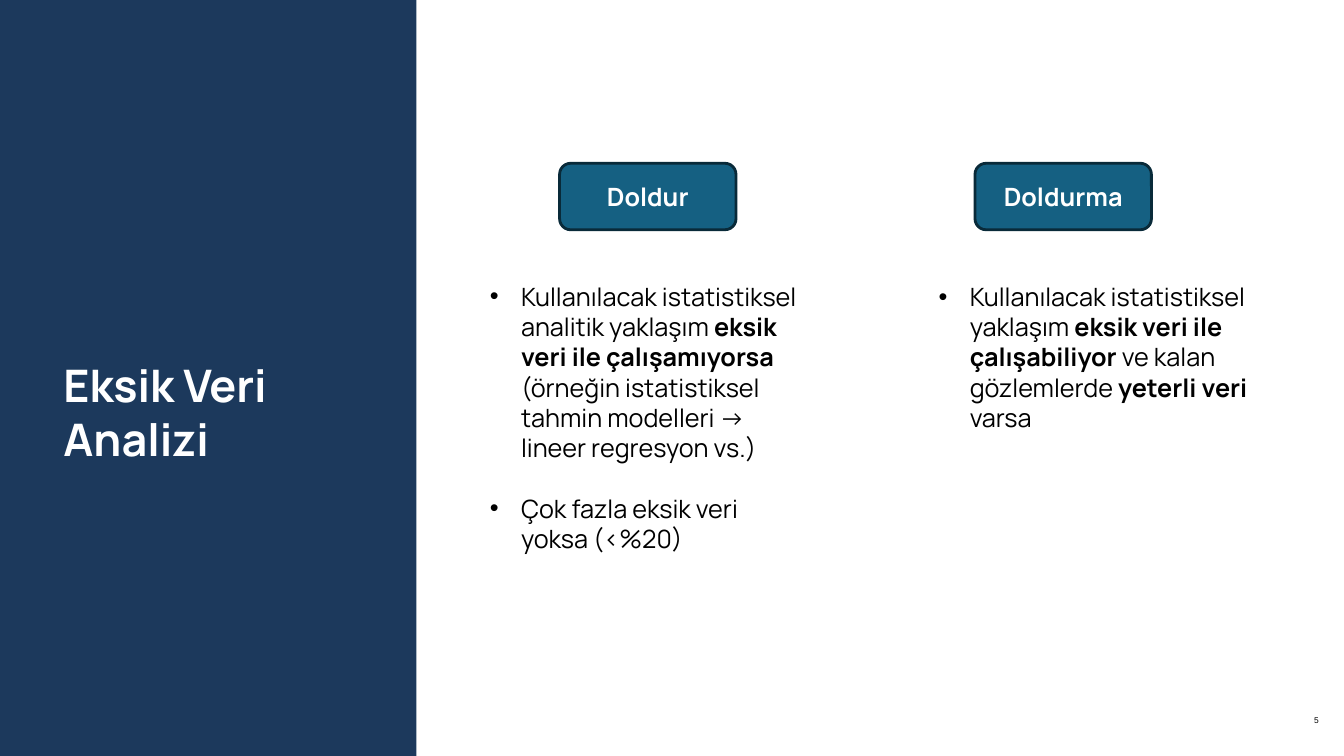
"""Builds the slide on missing data analysis."""
from dataclasses import dataclass

from lxml import etree
from pptx import Presentation
from pptx.dml.color import RGBColor
from pptx.enum.shapes import MSO_SHAPE
from pptx.enum.text import MSO_ANCHOR, PP_ALIGN
from pptx.oxml.ns import qn
from pptx.util import Pt

EMU_PER_PX = 9144
RECTANGLE = MSO_SHAPE.RECTANGLE
ROUNDED = MSO_SHAPE.ROUNDED_RECTANGLE
TOP, MIDDLE = MSO_ANCHOR.TOP, MSO_ANCHOR.MIDDLE
LEFT, CENTER, RIGHT = PP_ALIGN.LEFT, PP_ALIGN.CENTER, PP_ALIGN.RIGHT


@dataclass(frozen=True)
class Theme:
    """Colours, fonts and type sizes of the slide."""

    navy: str = "1C395C"
    teal: str = "156082"
    outline: str = "092A39"
    white: str = "FFFFFF"
    black: str = "000000"
    font: str = "Manrope"
    number_font: str = "Arial"
    title_size: int = 32
    body_size: int = 18
    number_size: int = 6
    paragraph_gap: float = 21.6


THEME = Theme()

COLUMNS = [
    {
        "heading": "Doldur",
        "heading_left": 555,
        "list_area": (476, 274, 333, 343),
        "items": [
            [
                ("Kullanılacak istatistiksel analitik yaklaşım ", False),
                ("eksik veri ile çalışamıyorsa ", True),
                ("(örneğin istatistiksel tahmin modelleri -> lineer regresyon vs.)", False),
            ],
            [("Çok fazla eksik veri yoksa (<%20)", False)],
        ],
    },
    {
        "heading": "Doldurma",
        "heading_left": 967,
        "list_area": (921, 274, 342, 222),
        "items": [
            [
                ("Kullanılacak istatistiksel yaklaşım ", False),
                ("eksik veri ile çalışabiliyor", True),
                (" ve kalan gözlemlerde ", False),
                ("yeterli veri", True),
                (" varsa", False),
            ],
        ],
    },
]


def px(length):
    """Turn whole pixels into EMU."""
    return length * EMU_PER_PX


def write_span(para, text, *, size=THEME.body_size, color=THEME.black,
               font=THEME.font, bold=False):
    """Append formatted text to a paragraph."""
    span = para.add_run()
    span.text = text
    span.font.name = font
    span.font.size = Pt(size)
    span.font.bold = bold
    span.font.color.rgb = RGBColor.from_string(color)


def add_panel(page, area, *, kind=RECTANGLE, fill=THEME.navy, line=None):
    """Add a filled preset shape, outlined if a line colour is given."""
    panel = page.shapes.add_shape(kind, *map(px, area))
    panel.shadow.inherit = False
    panel.fill.solid()
    panel.fill.fore_color.rgb = RGBColor.from_string(fill)
    if line:
        panel.line.color.rgb = RGBColor.from_string(line)
        panel.line.width = Pt(2)
    else:
        panel.line.fill.background()
    return panel


def add_heading(page, left, text):
    """Add a rounded column heading."""
    heading = add_panel(page, (left, 162, 175, 66), kind=ROUNDED,
                        fill=THEME.teal, line=THEME.outline)
    frame = heading.text_frame
    frame.word_wrap = True
    frame.vertical_anchor = MIDDLE
    para = frame.paragraphs[0]
    para.alignment = CENTER
    write_span(para, text, color=THEME.white, bold=True)


def add_label(page, area, text, *, align=LEFT, anchor=TOP, **span_format):
    """Add a one-paragraph text box with even margins."""
    frame = page.shapes.add_textbox(*map(px, area)).text_frame
    frame.word_wrap = True
    frame.vertical_anchor = anchor
    frame.margin_left = frame.margin_right = px(13)
    frame.margin_top = frame.margin_bottom = px(13)
    para = frame.paragraphs[0]
    para.alignment = align
    write_span(para, text, **span_format)


def set_bullet(para):
    """Give a paragraph a round bullet with a hanging indent."""
    properties = para._p.get_or_add_pPr()
    properties.set("marL", str(px(31)))
    properties.set("indent", str(px(-31)))
    etree.SubElement(properties, qn("a:buFont"), typeface=THEME.number_font)
    etree.SubElement(properties, qn("a:buChar"), char="•")


def add_bullet_list(page, area, items):
    """Add a bulleted list whose items are lists of text and bold flag."""
    frame = page.shapes.add_textbox(*map(px, area)).text_frame
    frame.word_wrap = True
    for index, item in enumerate(items):
        para = frame.add_paragraph() if index else frame.paragraphs[0]
        set_bullet(para)
        if index:
            para.space_before = Pt(THEME.paragraph_gap)
        for text, bold in item:
            write_span(para, text, bold=bold)


def main():
    """Build and save the deck."""
    deck = Presentation()
    deck.slide_width, deck.slide_height = px(1333), px(750)
    page = deck.slides.add_slide(deck.slide_layouts[6])
    add_panel(page, (0, 0, 413, 750))
    add_label(page, (50, 342, 364, 135), "Eksik Veri Analizi",
              size=THEME.title_size, color=THEME.white, bold=True)
    add_label(page, (1241, 686, 80, 57), "5", align=RIGHT, anchor=MIDDLE,
              size=THEME.number_size, font=THEME.number_font)
    for column in COLUMNS:
        add_heading(page, column["heading_left"], column["heading"])
        add_bullet_list(page, column["list_area"], column["items"])
    deck.save("out.pptx")


if __name__ == "__main__":
    main()
